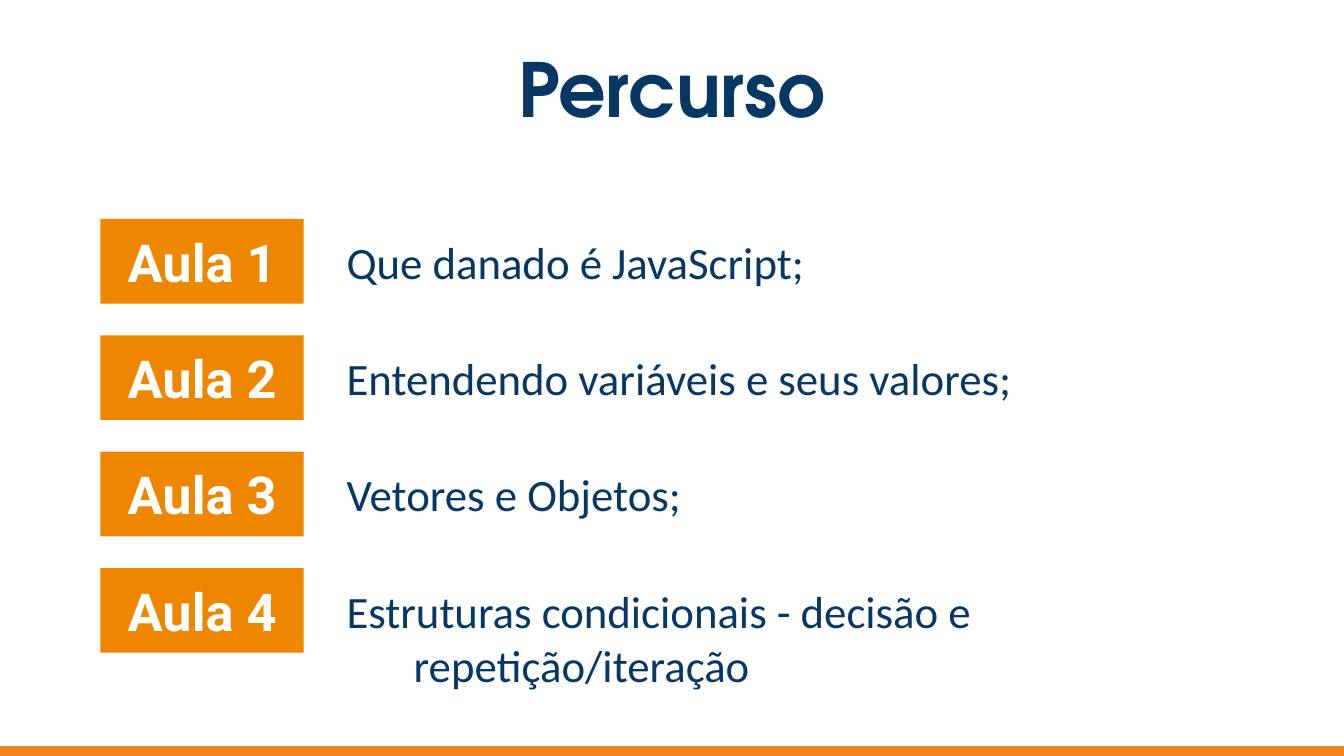
from pptx import Presentation
from pptx.dml.color import RGBColor
from pptx.enum.shapes import MSO_SHAPE as Shape
from pptx.enum.text import MSO_ANCHOR as Anchor, PP_ALIGN as Align
from pptx.util import Cm, Pt

NAVY, AMBER, ORANGE, WHITE = "073763", "EF8600", "F78321", "FFFFFF"
LESSONS = [
    ("Que danado é JavaScript;", 11.15),
    ("Entendendo variáveis e seus valores;", 14.76),
    ("Vetores e Objetos;", 6.96),
    ("Estruturas condicionais - decisão e repetição/iteração", 13.56),
]
TOP, PITCH = 4.14, 2.2


def color(code):
    return RGBColor.from_string(code)


def write(shape, text, *, font, size, ink, bold=False, align=Align.LEFT,
          anchor=Anchor.TOP, pad=0.13, hang=0):
    """Fill a shape with one paragraph; pad and hang are in cm."""
    frame = shape.text_frame
    frame.word_wrap = True
    frame.vertical_anchor = anchor
    frame.margin_left = frame.margin_right = Cm(0.25)
    frame.margin_top = frame.margin_bottom = Cm(pad)
    para = frame.paragraphs[0]
    para.alignment = align
    if hang:
        props = para._p.get_or_add_pPr()
        props.set("marL", str(Cm(hang)))
        props.set("indent", str(-Cm(hang)))
    run = para.add_run()
    run.text = text
    run.font.name = font
    run.font.size = Pt(size)
    run.font.bold = bold
    run.font.color.rgb = color(ink)


def add_text(slide, box, text, **style):
    write(slide.shapes.add_textbox(*map(Cm, box)), text, **style)


def add_rect(slide, box, fill, line=None):
    rect = slide.shapes.add_shape(Shape.RECTANGLE, *map(Cm, box))
    rect.shadow.inherit = False
    rect.fill.solid()
    rect.fill.fore_color.rgb = color(fill)
    if line:
        rect.line.color.rgb = color(line)
        rect.line.width = Pt(0.75)
    else:
        rect.line.fill.background()
    return rect


def add_lesson(slide, index, topic, width):
    top = TOP + index * PITCH
    label = add_rect(slide, (1.9, top, 3.84, 1.6), AMBER)
    write(label, f"Aula {index + 1}", font="Roboto", size=28, ink=WHITE,
          bold=True, align=Align.CENTER, anchor=Anchor.MIDDLE, pad=0.25)
    add_text(slide, (6.3, top + 0.16, width, 1.28), topic,
             font="Calibri", size=24, ink=NAVY, hang=1.27)


def main():
    deck = Presentation()
    deck.slide_width, deck.slide_height = Cm(25.4), Cm(14.29)
    slide = deck.slides.add_slide(deck.slide_layouts[6])
    add_text(slide, (0.86, 0.84, 23.67, 1.65), "Percurso",
             font="TeX Gyre Adventor", size=40, ink=NAVY, bold=True,
             align=Align.CENTER, anchor=Anchor.MIDDLE, pad=0.25)
    add_rect(slide, (0, 14.11, 25.4, 0.16), ORANGE, line=ORANGE)
    for index, (topic, width) in enumerate(LESSONS):
        add_lesson(slide, index, topic, width)
    deck.save("out.pptx")


if __name__ == "__main__":
    main()
